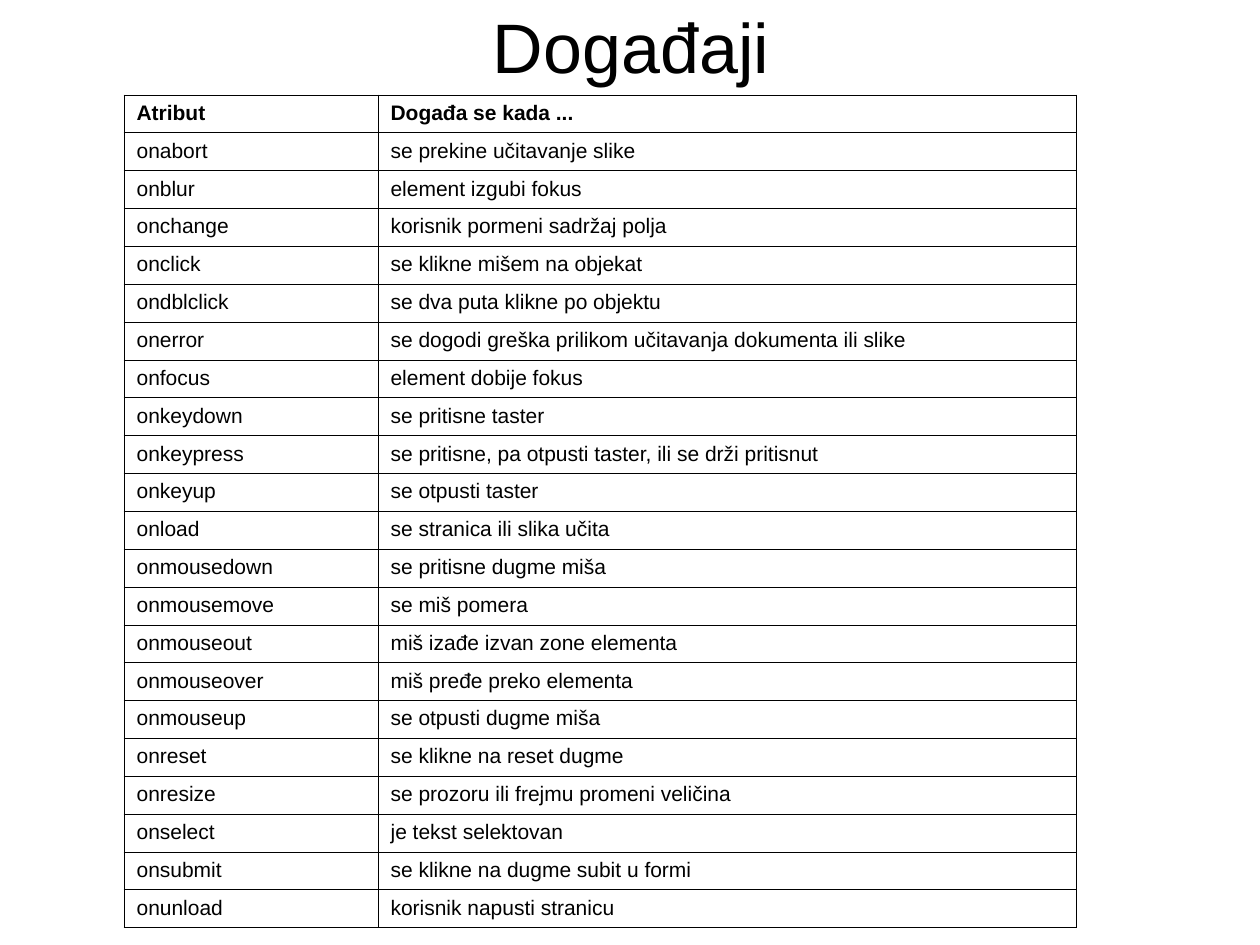
from lxml import etree
from pptx import Presentation
from pptx.dml.color import RGBColor
from pptx.enum.text import MSO_ANCHOR, MSO_AUTO_SIZE, PP_ALIGN
from pptx.oxml.ns import qn
from pptx.util import Pt

EMU_PER_INCH = 914400
PX_PER_INCH = 126
MIDDLE, TOP = MSO_ANCHOR.MIDDLE, MSO_ANCHOR.TOP
NO_AUTOFIT = MSO_AUTO_SIZE.NONE
CENTER, LEFT = PP_ALIGN.CENTER, PP_ALIGN.LEFT
TITLE_ONLY = 5
FONT = "Arial"
COLORS = {"text": "000000", "border": "000000", "page": "FFFFFF"}
BORDER_WIDTH = 0.45
HANGING = 48
COLUMNS = (254, 698)

EVENTS = [
    ("Atribut", "Događa se kada ..."),
    ("onabort", "se prekine učitavanje slike"),
    ("onblur", "element izgubi fokus"),
    ("onchange", "korisnik pormeni sadržaj polja"),
    ("onclick", "se klikne mišem na objekat"),
    ("ondblclick", "se dva puta klikne po objektu"),
    ("onerror", "se dogodi greška prilikom učitavanja dokumenta ili slike"),
    ("onfocus", "element dobije fokus"),
    ("onkeydown", "se pritisne taster"),
    ("onkeypress", "se pritisne, pa otpusti taster, ili se drži pritisnut"),
    ("onkeyup", "se otpusti taster"),
    ("onload", "se stranica ili slika učita"),
    ("onmousedown", "se pritisne dugme miša"),
    ("onmousemove", "se miš pomera"),
    ("onmouseout", "miš izađe izvan zone elementa"),
    ("onmouseover", "miš pređe preko elementa"),
    ("onmouseup", "se otpusti dugme miša"),
    ("onreset", "se klikne na reset dugme"),
    ("onresize", "se prozoru ili frejmu promeni veličina"),
    ("onselect", "je tekst selektovan"),
    ("onsubmit", "se klikne na dugme subit u formi"),
    ("onunload", "korisnik napusti stranicu"),
]


def px(length):
    return round(length * EMU_PER_INCH / PX_PER_INCH)


def write_text(frame, text, *, size, bold=False, align=LEFT, hanging=0):
    para = frame.paragraphs[0]
    para.alignment = align
    if hanging:
        properties = para._p.get_or_add_pPr()
        properties.set("marL", str(px(hanging)))
        properties.set("indent", str(-px(hanging)))
    span = para.add_run()
    span.text = text
    span.font.name = FONT
    span.font.size = Pt(size)
    span.font.bold = bold
    span.font.color.rgb = RGBColor.from_string(COLORS["text"])


def add_borders(cell):
    properties = cell._tc.get_or_add_tcPr()
    for side in ("a:lnL", "a:lnR", "a:lnT", "a:lnB"):
        line = etree.SubElement(properties, qn(side), w=str(Pt(BORDER_WIDTH)))
        fill = etree.SubElement(line, qn("a:solidFill"))
        etree.SubElement(fill, qn("a:srgbClr"), val=COLORS["border"])


def place_title(page, text, left, top, width, height):
    box = page.shapes.title
    box.left, box.top, box.width, box.height = map(px, (left, top, width, height))
    frame = box.text_frame
    frame.word_wrap = True
    frame.auto_size = NO_AUTOFIT
    frame.vertical_anchor = MIDDLE
    write_text(frame, text, size=40, align=CENTER)


def place_event_table(page, events, left, top, width, height):
    box = page.shapes.add_table(
        len(events), len(COLUMNS), px(left), px(top), px(width), px(height))
    table = box.table
    table.first_row = False
    table.horz_banding = False
    for column, column_width in zip(table.columns, COLUMNS):
        column.width = px(column_width)
    for index, (row, texts) in enumerate(zip(table.rows, events)):
        row.height = px(height / len(events))
        for cell, text in zip(row.cells, texts):
            add_borders(cell)
            cell.fill.background()
            cell.vertical_anchor = TOP
            write_text(cell.text_frame, text, size=12, bold=index == 0,
                       hanging=HANGING)


def main():
    deck = Presentation()
    deck.slide_width, deck.slide_height = px(1260), px(945)
    page = deck.slides.add_slide(deck.slide_layouts[TITLE_ONLY])
    page.background.fill.solid()
    page.background.fill.fore_color.rgb = RGBColor.from_string(COLORS["page"])
    place_title(page, "Događaji", 64, 16, 1134, 59)
    place_event_table(page, EVENTS, 124, 95, sum(COLUMNS), 833)
    deck.save("out.pptx")


if __name__ == "__main__":
    main()
